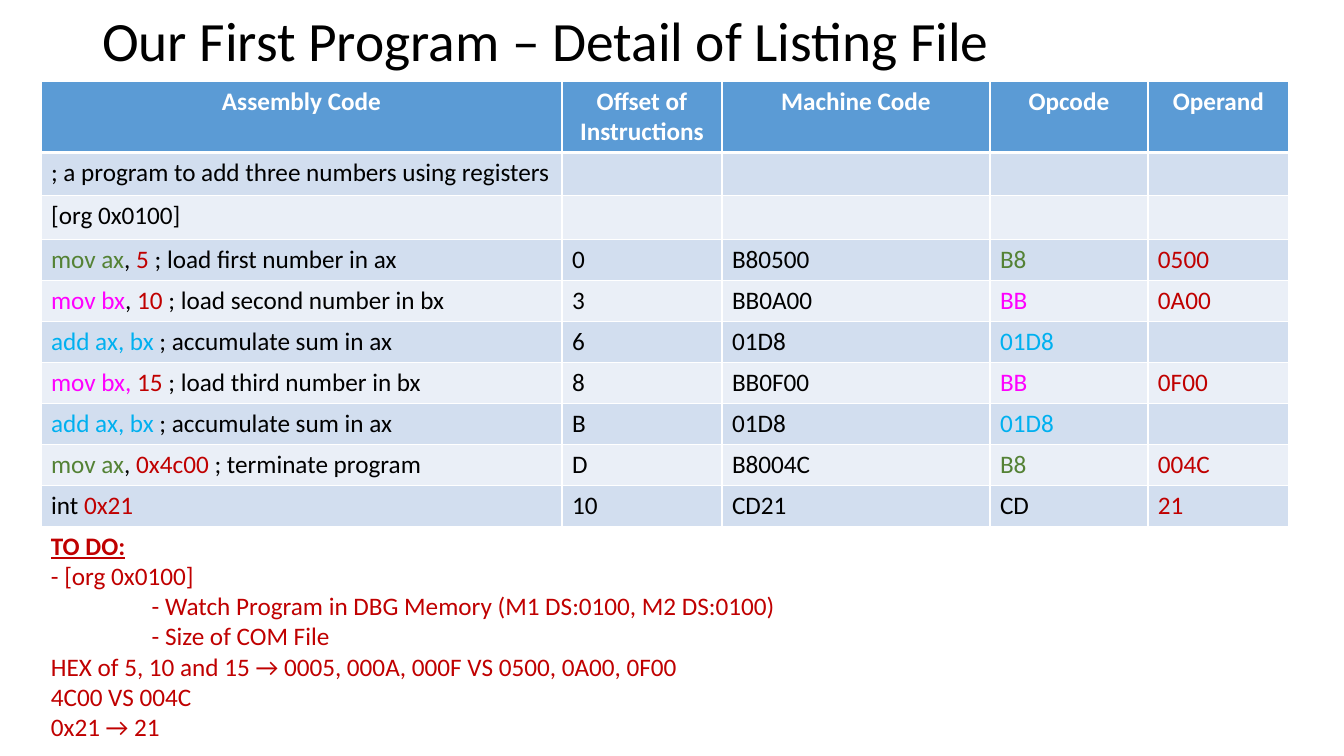
from lxml import etree
from pptx import Presentation
from pptx import util as u
from pptx.dml.color import RGBColor
from pptx.enum import text
from pptx.oxml import ns

PX = 914400 / 100.8
BLACK = RGBColor(0x00, 0x00, 0x00)
WHITE = RGBColor(0xFF, 0xFF, 0xFF)
RED = RGBColor(0xC0, 0x00, 0x00)
GREEN = RGBColor(0x54, 0x82, 0x35)
PINK = RGBColor(0xFF, 0x00, 0xFF)
CYAN = RGBColor(0x00, 0xB0, 0xF0)
HEADER_BLUE = RGBColor(0x5B, 0x9B, 0xD5)
BANDS = [RGBColor(0xEA, 0xEF, 0xF7), RGBColor(0xD2, 0xDE, 0xEF)]


def px(*lengths):
    """Turn lengths in px into a list of EMU values."""
    return [u.Emu(round(length * PX)) for length in lengths]


def add_span(para, words, color, size=18, **formats):
    span = para.add_run()
    span.text = words
    span.font.color.rgb = color
    for name, value in {"name": "Calibri", "size": u.Pt(size), **formats}.items():
        setattr(span.font, name, value)


deck = Presentation()
deck.slide_width, deck.slide_height = px(1344, 756)
page = deck.slides.add_slide(deck.slide_layouts[5])

# Title
title = page.shapes.title
title.left, title.top, title.width, title.height = px(92, 6, 1159, 76)
frame = title.text_frame
frame.auto_size = text.MSO_AUTO_SIZE.NONE
frame.word_wrap = True
frame.vertical_anchor = text.MSO_ANCHOR.MIDDLE
para = frame.paragraphs[0]
para.alignment = text.PP_ALIGN.LEFT
para.line_spacing = 0.9
add_span(para, "Our First Program – Detail of Listing File", BLACK, size=39.6)

# Listing table: each cell is a list of (words, colour) spans
headings = ["Assembly Code", "Offset of Instructions", "Machine Code", "Opcode", "Operand"]
code_lines = [
    ([("; a program to add three numbers using registers", BLACK)], "", "", "", "", BLACK),
    ([("[org 0x0100]", BLACK)], "", "", "", "", BLACK),
    ([("mov ax", GREEN), (", ", BLACK), ("5", RED), (" ; load first number in ax", BLACK)],
     "0", "B80500", "B8", "0500", GREEN),
    ([("mov bx", PINK), (", ", BLACK), ("10", RED), (" ; load second number in bx", BLACK)],
     "3", "BB0A00", "BB", "0A00", PINK),
    ([("add ax, bx ", CYAN), ("; accumulate sum in ax", BLACK)],
     "6", "01D8", "01D8", "", CYAN),
    ([("mov bx, ", PINK), ("15", RED), (" ; load third number in bx", BLACK)],
     "8", "BB0F00", "BB", "0F00", PINK),
    ([("add ax, bx ", CYAN), ("; accumulate sum in ax", BLACK)],
     "B", "01D8", "01D8", "", CYAN),
    ([("mov ax", GREEN), (", ", BLACK), ("0x4c00", RED), (" ; terminate program", BLACK)],
     "D", "B8004C", "B8", "004C", GREEN),
    ([("int ", BLACK), ("0x21", RED)], "10", "CD21", "CD", "21", BLACK),
]
rows = [[[(heading, WHITE)] for heading in headings]]
for source, offset, machine, opcode, operand, opcode_color in code_lines:
    rows.append([source, [(offset, BLACK)], [(machine, BLACK)],
                 [(opcode, opcode_color)], [(operand, RED)]])

widths = px(521, 160, 268, 158, 141)
heights = px(71, 43, 44, *[41] * 6, 40)
table = page.shapes.add_table(len(rows), len(widths), *px(41, 81),
                              sum(widths), sum(heights)).table
for column, width in zip(table.columns, widths):
    column.width = width
for r, (row, height) in enumerate(zip(rows, heights)):
    table.rows[r].height = height
    is_header = r == 0
    for c, spans in enumerate(row):
        cell = table.cell(r, c)
        cell.fill.solid()
        cell.fill.fore_color.rgb = HEADER_BLUE if is_header else BANDS[r % 2]
        para = cell.text_frame.paragraphs[0]
        if is_header:
            para.alignment = text.PP_ALIGN.CENTER
            # The rule under the header goes before the fill in the cell properties
            rule = etree.Element(ns.qn("a:lnB"), w=str(u.Pt(3)))
            rule_fill = etree.SubElement(rule, ns.qn("a:solidFill"))
            etree.SubElement(rule_fill, ns.qn("a:srgbClr"), val=str(WHITE))
            cell._tc.get_or_add_tcPr().insert(0, rule)
        for words, color in spans:
            if words:
                add_span(para, words, color, bold=is_header)

# To-do notes
box = page.shapes.add_textbox(*px(41, 525, 1248, 224))
frame = box.text_frame
frame.word_wrap = True
frame.auto_size = text.MSO_AUTO_SIZE.SHAPE_TO_FIT_TEXT
todo_lines = [
    "TO DO:",
    "- [org 0x0100]",
    "\t- Watch Program in DBG Memory (M1 DS:0100, M2 DS:0100)",
    "\t- Size of COM File",
    "HEX of 5, 10 and 15 → 0005, 000A, 000F VS 0500, 0A00, 0F00",
    "4C00 VS 004C",
    "0x21 → 21",
]
for i, line in enumerate(todo_lines):
    para = frame.add_paragraph() if i else frame.paragraphs[0]
    para._p.get_or_add_pPr().set("defTabSz", str(u.Inches(1)))
    add_span(para, line, RED, bold=i == 0, underline=i == 0)

deck.save("out.pptx")
